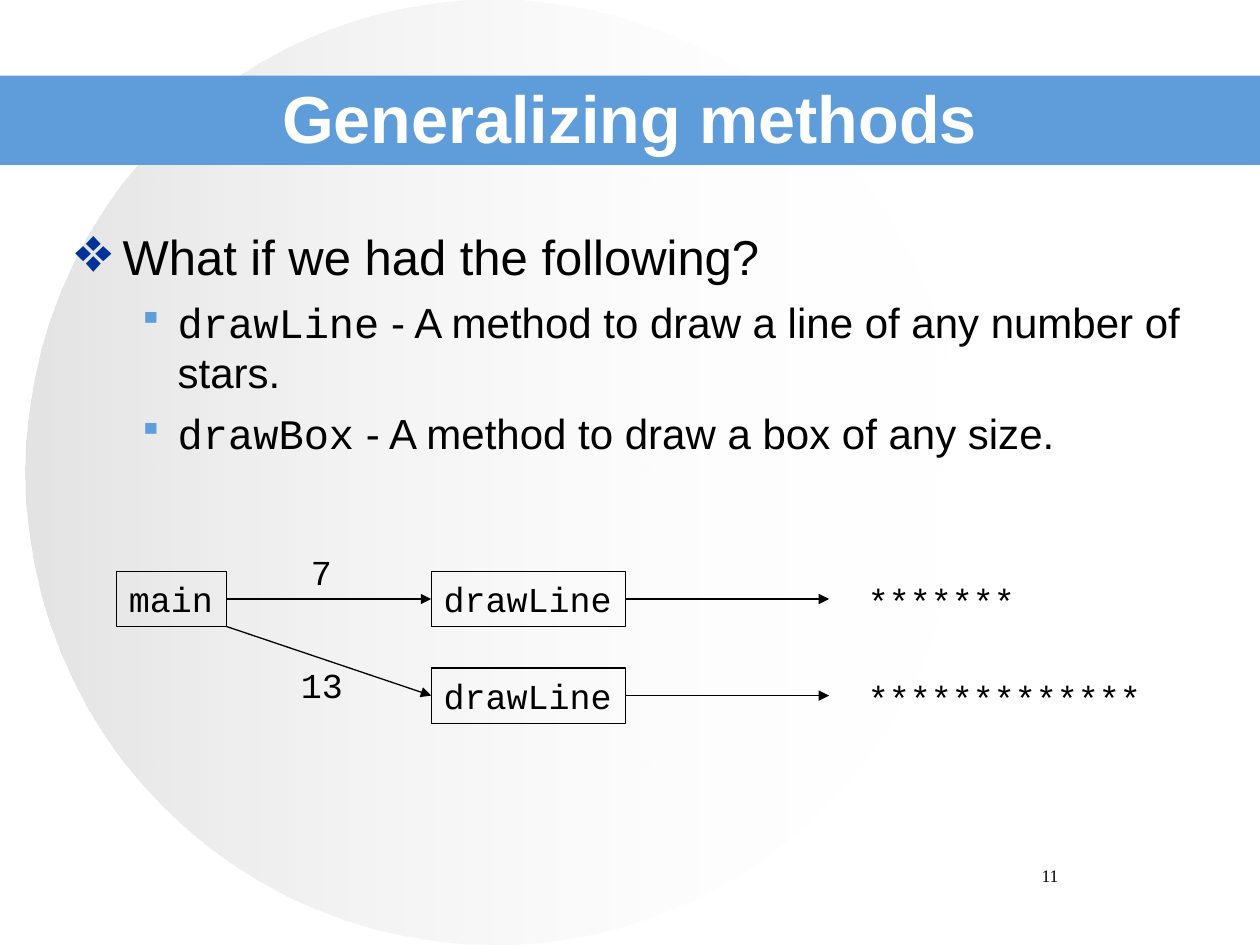
"""Build the "Generalizing methods" slide."""
from dataclasses import dataclass

from lxml import etree
from pptx import Presentation
from pptx.dml.color import RGBColor
from pptx.enum.shapes import MSO_CONNECTOR, MSO_SHAPE
from pptx.enum.text import MSO_ANCHOR, MSO_AUTO_SIZE, PP_ALIGN
from pptx.oxml.ns import qn
from pptx.util import Pt

ELLIPSE, RECTANGLE = MSO_SHAPE.OVAL, MSO_SHAPE.RECTANGLE
STRAIGHT = MSO_CONNECTOR.STRAIGHT
LEFT, CENTER = PP_ALIGN.LEFT, PP_ALIGN.CENTER
TOP, MIDDLE = MSO_ANCHOR.TOP, MSO_ANCHOR.MIDDLE
FIT_SHAPE = MSO_AUTO_SIZE.SHAPE_TO_FIT_TEXT
LEFT_SIDE, RIGHT_SIDE = 1, 3


@dataclass(frozen=True)
class Theme:
    """Colours, fonts and type sizes of the slide."""
    black: str = "000000"
    white: str = "FFFFFF"
    blue: str = "5E9CDA"
    navy: str = "003399"
    silver: str = "C0C0C0"
    sans: str = "Arial"
    mono: str = "Courier New"
    serif: str = "Times New Roman"
    title: int = 38
    body: int = 28
    detail: int = 24
    code: int = 20
    number: int = 10
    line: float = 0.75


def set_attributes(target, values):
    """Set each named attribute of the target."""
    for name, value in values.items():
        setattr(target, name, value)


def code_width(text):
    """Return the box width that holds a line of code without wrapping."""
    return 15 + 12.02 * len(text)


class SlideBuilder:
    """Draw styled elements on the current slide."""

    def __init__(self, slide, theme):
        self.slide = slide
        self.theme = theme

    def add_shape(self, kind, bounds):
        """Add a preset shape without shadow or line."""
        shape = self.slide.shapes.add_shape(kind, *map(Pt, bounds))
        shape.shadow.inherit = False
        shape.line.fill.background()
        return shape

    def add_band(self, bounds):
        """Add the coloured band behind the title."""
        fill = self.add_shape(RECTANGLE, bounds).fill
        fill.solid()
        fill.fore_color.rgb = RGBColor.from_string(self.theme.blue)

    def add_disc(self, bounds):
        """Add the large disc that fades from left to right."""
        shape = self.add_shape(ELLIPSE, bounds)
        shape.fill.gradient()
        shape.fill.gradient_angle = 0
        stops = ((self.theme.silver, 44), (self.theme.white, 0))
        for stop, (color, _) in zip(shape.fill.gradient_stops, stops):
            stop.color.rgb = RGBColor.from_string(color)
        colors = shape._element.xpath(".//a:gs/a:srgbClr")
        for element, (_, opacity) in zip(colors, stops):
            etree.SubElement(element, qn("a:alpha"), val=str(opacity * 1000))

    def add_run(self, paragraph, text, size, font, color=None, bold=False):
        """Add a formatted run to a paragraph."""
        run = paragraph.add_run()
        run.text = text
        set_attributes(run.font, {"size": Pt(size), "name": font, "bold": bold})
        run.font.color.rgb = RGBColor.from_string(color or self.theme.black)

    def add_text(self, text, bounds, size, font, color=None, bold=False,
                 alignment=CENTER, anchor=TOP):
        """Add a wrapped box with one line of text."""
        frame = self.slide.shapes.add_textbox(*map(Pt, bounds)).text_frame
        set_attributes(frame, {"word_wrap": True, "vertical_anchor": anchor})
        frame.paragraphs[0].alignment = alignment
        self.add_run(frame.paragraphs[0], text, size, font, color, bold)

    def add_bullets(self, items, bounds):
        """Add a bulleted list from levels and their runs."""
        theme = self.theme
        styles = (
            {"size": theme.body, "margin": 27, "indent": -27,
             "bullet": "❖", "scale": 130, "color": theme.navy},
            {"size": theme.detail, "margin": 58.5, "indent": -22.5,
             "bullet": "▪", "scale": 80, "color": theme.blue},
        )
        frame = self.slide.shapes.add_textbox(*map(Pt, bounds)).text_frame
        frame.word_wrap = True
        for index, (level, runs) in enumerate(items):
            style = styles[level]
            paragraph = frame.add_paragraph() if index else frame.paragraphs[0]
            paragraph.level = level
            paragraph.space_before = Pt(6 if index else 0)
            properties = paragraph._p.get_or_add_pPr()
            properties.set("marL", str(Pt(style["margin"])))
            properties.set("indent", str(Pt(style["indent"])))
            bullet_color = etree.SubElement(properties, qn("a:buClr"))
            etree.SubElement(bullet_color, qn("a:srgbClr"), val=style["color"])
            etree.SubElement(properties, qn("a:buSzPct"), val=str(style["scale"] * 1000))
            etree.SubElement(properties, qn("a:buChar"), char=style["bullet"])
            for text, font in runs:
                self.add_run(paragraph, text, style["size"], font)

    def fill_code(self, shape, text):
        """Write one unwrapped line of code into a shape."""
        frame = shape.text_frame
        set_attributes(frame, {"word_wrap": False, "auto_size": FIT_SHAPE, "vertical_anchor": TOP})
        frame.paragraphs[0].alignment = LEFT
        self.add_run(frame.paragraphs[0], text, self.theme.code, self.theme.mono)

    def add_code_label(self, text, left, top, height):
        """Add code text without an outline."""
        bounds = (left, top, code_width(text), height)
        self.fill_code(self.slide.shapes.add_textbox(*map(Pt, bounds)), text)

    def add_method(self, text, left, top, height):
        """Add an outlined box with a method name."""
        shape = self.add_shape(RECTANGLE, (left, top, code_width(text), height))
        shape.fill.background()
        shape.line.color.rgb = RGBColor.from_string(self.theme.black)
        shape.line.width = Pt(self.theme.line)
        self.fill_code(shape, text)
        return shape

    def add_arrow(self, start, end, source=None, target=None):
        """Add an arrow, joined to a source or target box if given."""
        arrow = self.slide.shapes.add_connector(STRAIGHT, *map(Pt, start + end))
        if source is not None:
            arrow.begin_connect(source, RIGHT_SIDE)
        if target is not None:
            arrow.end_connect(target, LEFT_SIDE)
        arrow.line.color.rgb = RGBColor.from_string(self.theme.black)
        arrow.line.width = Pt(self.theme.line)
        etree.SubElement(arrow.line._get_or_add_ln(), qn("a:tailEnd"), type="triangle")
        etree.SubElement(arrow._element.spPr, qn("a:effectLst"))


def main():
    """Create the presentation and save it."""
    presentation = Presentation()
    presentation.slide_width, presentation.slide_height = Pt(720), Pt(540)
    slide = presentation.slides.add_slide(presentation.slide_layouts[6])
    theme = Theme()
    builder = SlideBuilder(slide, theme)

    builder.add_disc((14.4, 0, 535.6, 540))
    builder.add_band((0, 43.2, 720, 51))
    builder.add_text("11", (516, 491, 168, 36), theme.number, theme.serif)
    builder.add_text("Generalizing methods", (36, 21.6, 648, 90), theme.title,
                     theme.sans, theme.white, bold=True, anchor=MIDDLE)
    builder.add_bullets((
        (0, (("What if we had the following?", theme.sans),)),
        (1, (("drawLine", theme.mono),
             (" - A method to draw a line of any number of stars.", theme.sans))),
        (1, (("drawBox", theme.mono),
             (" - A method to draw a box of any size.", theme.sans))),
    ), (36, 126, 648, 356))

    height, first_top, row_step = 31.6, 326.5, 55.2
    main_left, call_left, stars_left = 66.6, 246.4, 488.8
    main_right = main_left + code_width("main")
    call_right = call_left + code_width("drawLine")
    main_box = builder.add_method("main", main_left, first_top, height)
    calls = (
        (7, 170.6, 311, first_top + height / 2, main_box),
        (13, 164.8, 375.6, first_top + height, None),
    )
    for row, (count, label_left, label_top, start_y, source) in enumerate(calls):
        top = first_top + row * row_step
        middle = top + height / 2
        call_box = builder.add_method("drawLine", call_left, top, height)
        builder.add_arrow((main_right, start_y), (call_left, middle), source, call_box)
        builder.add_arrow((call_right, middle), (473.8, middle), call_box)
        builder.add_code_label("*" * count, stars_left, top + 1.2, height)
        builder.add_code_label(str(count), label_left, label_top, height)

    presentation.save("out.pptx")


if __name__ == "__main__":
    main()
